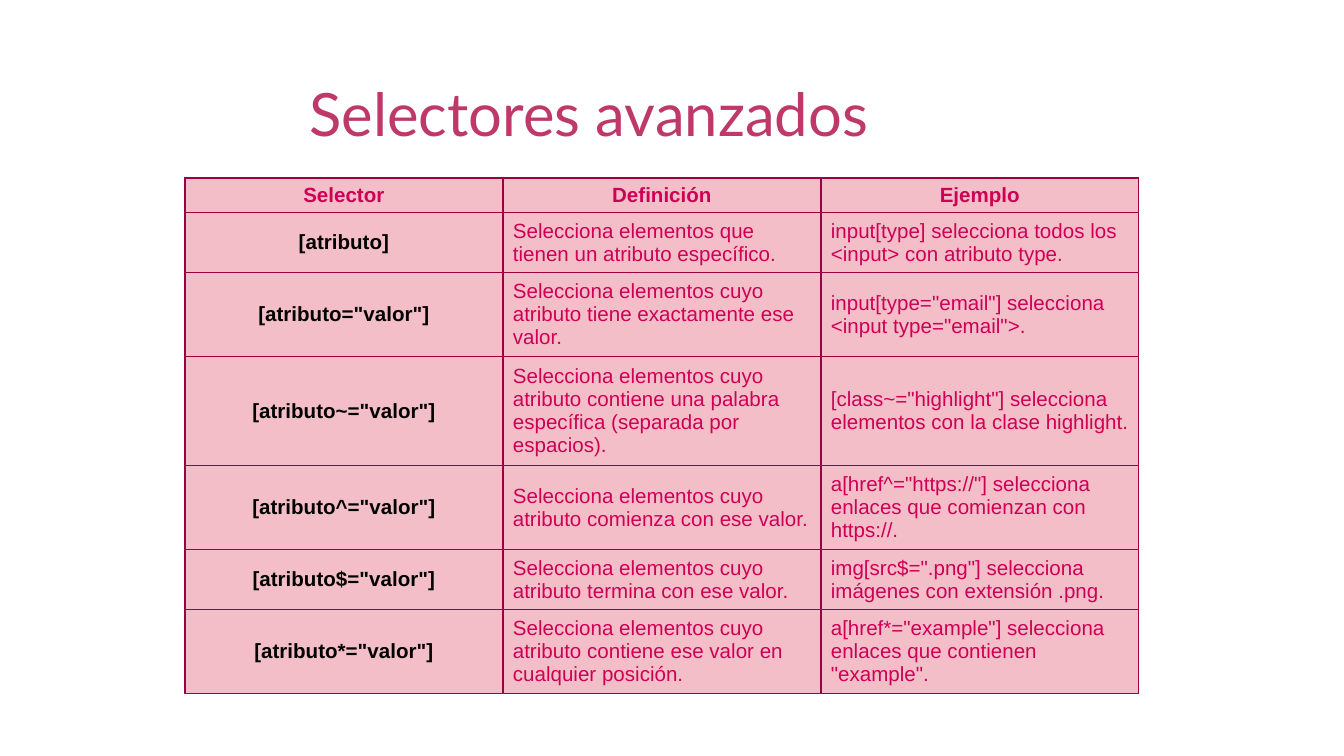
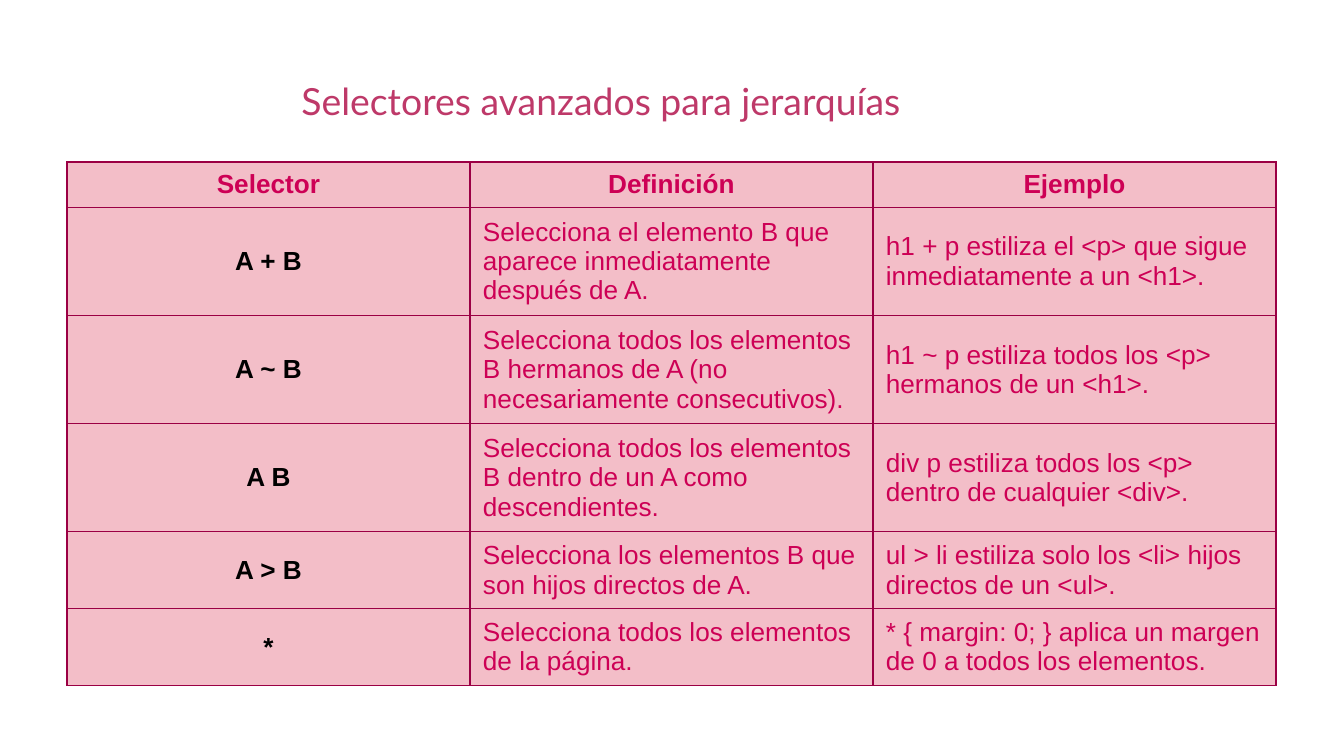
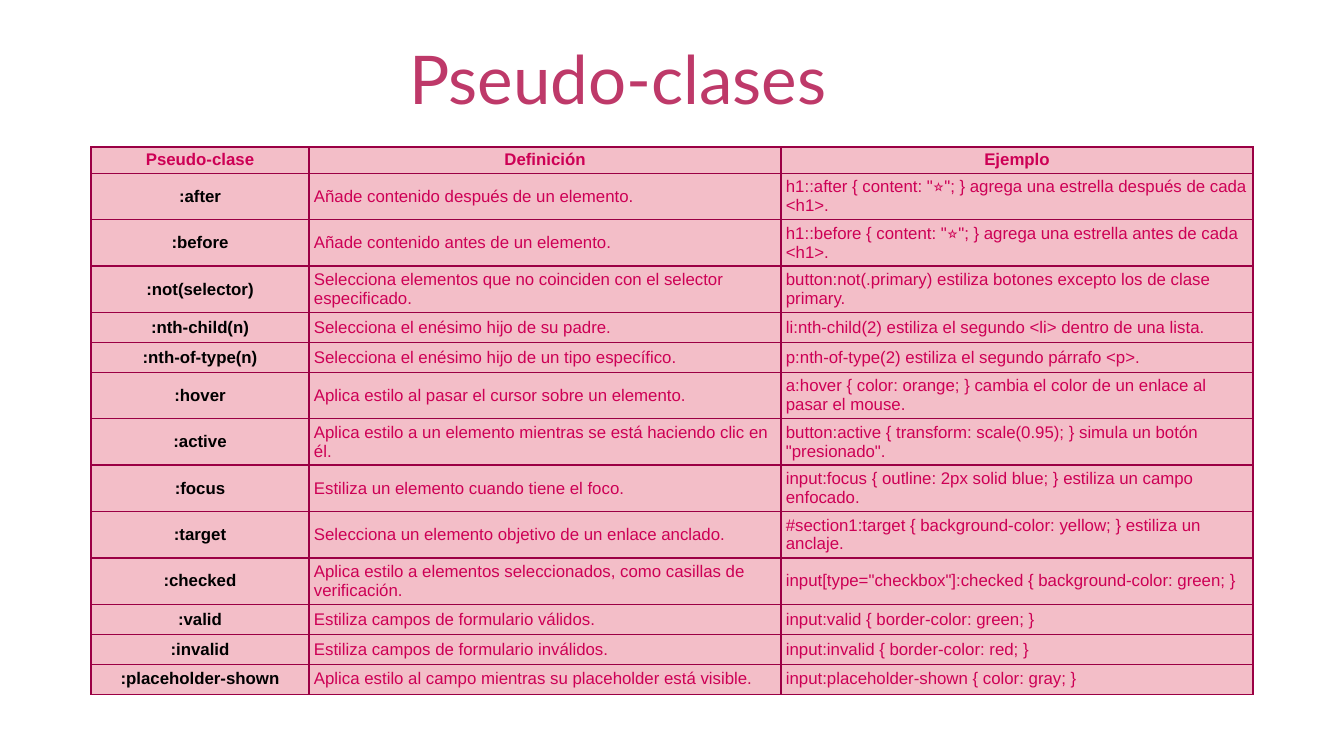
from dataclasses import dataclass

from lxml.etree import SubElement
from pptx import Presentation
from pptx.dml.color import RGBColor as RGB
from pptx.enum.text import MSO_ANCHOR as ANCHOR, MSO_AUTO_SIZE as AUTO, PP_ALIGN as ALIGN
from pptx.oxml.ns import qn
from pptx.util import Pt

SLIDES = [
    {
        "title": ("Selectores avanzados", (296, 70, 734, 86), 32),
        "origin": (185, 178),
        "columns": [318, 318, 318],
        "heights": [34, 60, 84, 109, 84, 60, 84],
        "size": 11,
        "margins": (10, 5),
        "rows": [
            ("Selector", "Definición", "Ejemplo"),
            ("[atributo]", "Selecciona elementos que tienen un atributo específico.",
             "input[type] selecciona todos los <input> con atributo type."),
            ('[atributo="valor"]', "Selecciona elementos cuyo atributo tiene exactamente ese valor.",
             'input[type="email"] selecciona <input type="email">.'),
            ('[atributo~="valor"]',
             "Selecciona elementos cuyo atributo contiene una palabra específica (separada por espacios).",
             '[class~="highlight"] selecciona elementos con la clase highlight.'),
            ('[atributo^="valor"]', "Selecciona elementos cuyo atributo comienza con ese valor.",
             'a[href^="https://"] selecciona enlaces que comienzan con https://.'),
            ('[atributo$="valor"]', "Selecciona elementos cuyo atributo termina con ese valor.",
             'img[src$=".png"] selecciona imágenes con extensión .png.'),
            ('[atributo*="valor"]',
             "Selecciona elementos cuyo atributo contiene ese valor en cualquier posición.",
             'a[href*="example"] selecciona enlaces que contienen "example".'),
        ],
    },
    {
        "title": ("Selectores avanzados para jerarquías", (288, 71, 827, 59), 20),
        "origin": (67, 162),
        "columns": [403, 403, 403],
        "heights": [44, 107, 107, 107, 76, 76],
        "size": 14,
        "margins": (13, 7),
        "rows": [
            ("Selector", "Definición", "Ejemplo"),
            ("A + B", "Selecciona el elemento B que aparece inmediatamente después de A.",
             "h1 + p estiliza el <p> que sigue inmediatamente a un <h1>."),
            ("A ~ B", "Selecciona todos los elementos B hermanos de A (no necesariamente consecutivos).",
             "h1 ~ p estiliza todos los <p> hermanos de un <h1>."),
            ("A B", "Selecciona todos los elementos B dentro de un A como descendientes.",
             "div p estiliza todos los <p> dentro de cualquier <div>."),
            ("A > B", "Selecciona los elementos B que son hijos directos de A.",
             "ul > li estiliza solo los <li> hijos directos de un <ul>."),
            ("*", "Selecciona todos los elementos de la página.",
             "* { margin: 0; } aplica un margen de 0 a todos los elementos."),
        ],
    },
    {
        "title": ("Pseudo-clases", (396, 31, 551, 95), 36),
        "origin": (91, 147),
        "columns": [218, 472, 472],
        "heights": [26, 46, 46, 46, 30, 30, 46, 46, 46, 46, 46, 30, 30, 30],
        "size": 9,
        "margins": (5, 3),
        "rows": [
            ("Pseudo-clase", "Definición", "Ejemplo"),
            (":after", "Añade contenido después de un elemento.",
             'h1::after { content: "⭐"; } agrega una estrella después de cada <h1>.'),
            (":before", "Añade contenido antes de un elemento.",
             'h1::before { content: "⭐"; } agrega una estrella antes de cada <h1>.'),
            (":not(selector)", "Selecciona elementos que no coinciden con el selector especificado.",
             "button:not(.primary) estiliza botones excepto los de clase primary."),
            (":nth-child(n)", "Selecciona el enésimo hijo de su padre.",
             "li:nth-child(2) estiliza el segundo <li> dentro de una lista."),
            (":nth-of-type(n)", "Selecciona el enésimo hijo de un tipo específico.",
             "p:nth-of-type(2) estiliza el segundo párrafo <p>."),
            (":hover", "Aplica estilo al pasar el cursor sobre un elemento.",
             "a:hover { color: orange; } cambia el color de un enlace al pasar el mouse."),
            (":active", "Aplica estilo a un elemento mientras se está haciendo clic en él.",
             'button:active { transform: scale(0.95); } simula un botón "presionado".'),
            (":focus", "Estiliza un elemento cuando tiene el foco.",
             "input:focus { outline: 2px solid blue; } estiliza un campo enfocado."),
            (":target", "Selecciona un elemento objetivo de un enlace anclado.",
             "#section1:target { background-color: yellow; } estiliza un anclaje."),
            (":checked", "Aplica estilo a elementos seleccionados, como casillas de verificación.",
             'input[type="checkbox"]:checked { background-color: green; }'),
            (":valid", "Estiliza campos de formulario válidos.",
             "input:valid { border-color: green; }"),
            (":invalid", "Estiliza campos de formulario inválidos.",
             "input:invalid { border-color: red; }"),
            (":placeholder-shown", "Aplica estilo al campo mientras su placeholder está visible.",
             "input:placeholder-shown { color: gray; }"),
        ],
    },
]


@dataclass(frozen=True)
class Theme:
    title_font: str = "Lato"
    table_font: str = "Arial"
    title: str = "BE3969"
    text: str = "CD0055"
    selector: str = "000000"
    fill: str = "F3BEC8"
    border: str = "9B0044"
    border_width: float = 0.75


THEME = Theme()
WIDTH, HEIGHT = 1344, 756


def px(n):
    return round(n * 914400 / 134.4)


def set_font(p, name, size, color, bold=False):
    p.font.name = name
    p.font.size = Pt(size)
    p.font.bold = bold
    p.font.color.rgb = RGB.from_string(color)


def set_borders(cell):
    tc_pr = cell._tc.get_or_add_tcPr()
    for side in ("lnL", "lnR", "lnT", "lnB"):
        ln = SubElement(tc_pr, qn(f"a:{side}"), w=str(Pt(THEME.border_width)))
        fill = SubElement(ln, qn("a:solidFill"))
        SubElement(fill, qn("a:srgbClr"), val=THEME.border)


def add_title(s, text, box, size):
    sp = s.shapes.title
    sp.left, sp.top, sp.width, sp.height = map(px, box)
    tf = sp.text_frame
    tf.text = text
    tf.word_wrap = True
    tf.auto_size = AUTO.SHAPE_TO_FIT_TEXT
    tf.vertical_anchor = ANCHOR.TOP
    p = tf.paragraphs[0]
    p.alignment = ALIGN.LEFT
    set_font(p, THEME.title_font, size, THEME.title)


def fill_cell(cell, text, row, col, size, margins):
    cell.text = text
    cell.vertical_anchor = ANCHOR.MIDDLE
    cell.margin_left = cell.margin_right = px(margins[0])
    cell.margin_top = cell.margin_bottom = px(margins[1])
    set_borders(cell)
    cell.fill.solid()
    cell.fill.fore_color.rgb = RGB.from_string(THEME.fill)
    heading = row == 0 or col == 0
    color = THEME.selector if row and col == 0 else THEME.text
    p = cell.text_frame.paragraphs[0]
    p.alignment = ALIGN.CENTER if heading else ALIGN.LEFT
    set_font(p, THEME.table_font, size, color, heading)


def add_selector_table(s, data):
    columns, heights, rows = data["columns"], data["heights"], data["rows"]
    box = (*data["origin"], sum(columns), sum(heights))
    table = s.shapes.add_table(len(rows), len(columns), *map(px, box)).table
    table.first_row = table.horz_banding = False
    for column, width in zip(table.columns, columns):
        column.width = px(width)
    for r, (values, height) in enumerate(zip(rows, heights)):
        table.rows[r].height = px(height)
        for c, text in enumerate(values):
            fill_cell(table.cell(r, c), text, r, c, data["size"], data["margins"])


def main():
    prs = Presentation()
    prs.slide_width, prs.slide_height = px(WIDTH), px(HEIGHT)
    for data in SLIDES:
        s = prs.slides.add_slide(prs.slide_layouts[5])
        add_title(s, *data["title"])
        add_selector_table(s, data)
    prs.save("out.pptx")


if __name__ == "__main__":
    main()
